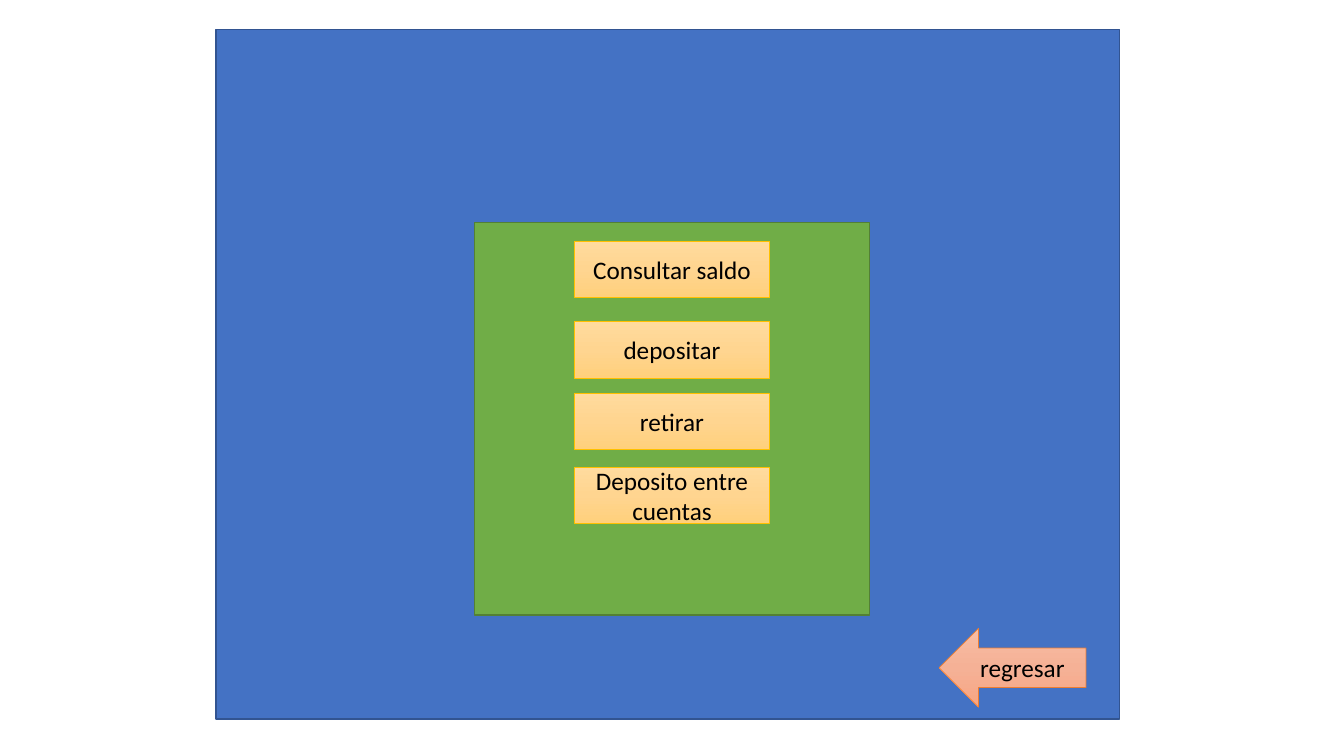
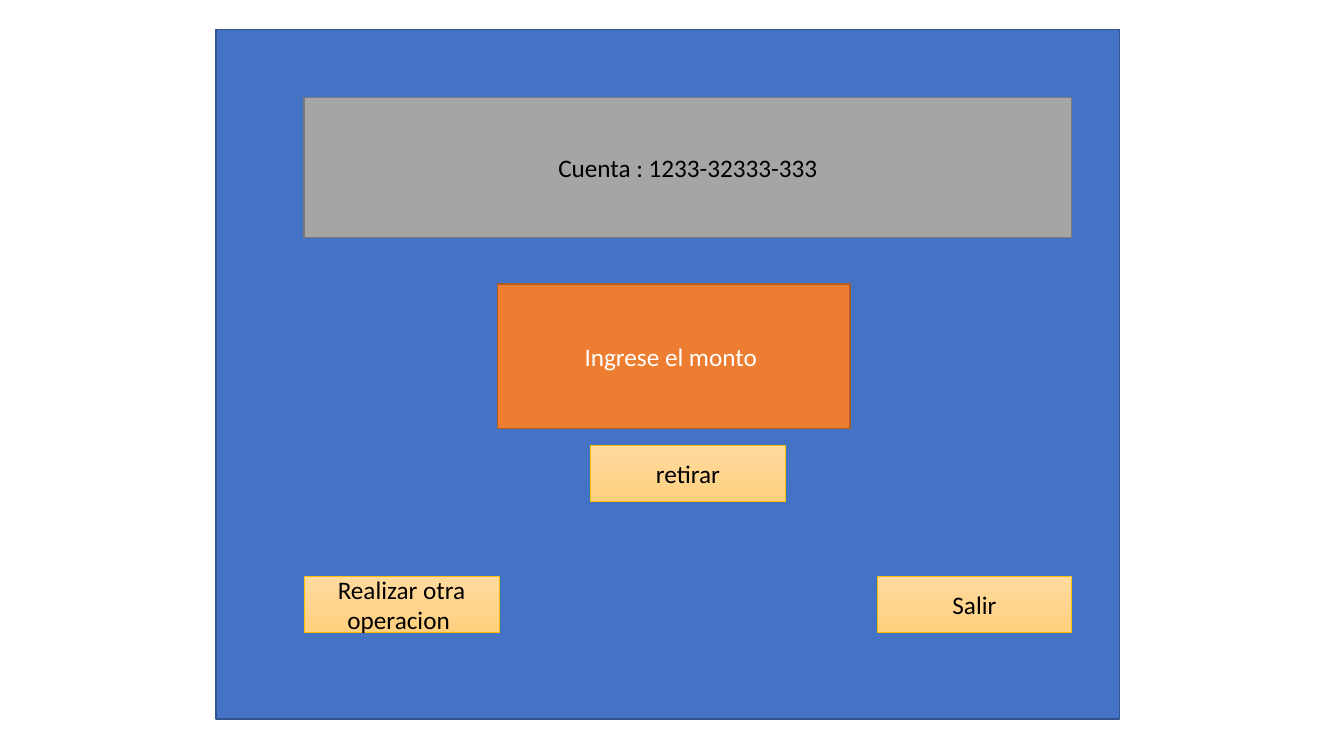
from copy import deepcopy
from dataclasses import dataclass

from pptx import Presentation
from pptx.dml.color import RGBColor
from pptx.enum.shapes import MSO_SHAPE
from pptx.enum.text import MSO_ANCHOR, PP_ALIGN
from pptx.oxml.ns import qn
from pptx.shapes.autoshape import Shape
from pptx.slide import Slide
from pptx.util import Inches, Pt

RECTANGLE = MSO_SHAPE.RECTANGLE
LEFT_ARROW = MSO_SHAPE.LEFT_ARROW
CENTER = PP_ALIGN.CENTER
MIDDLE = MSO_ANCHOR.MIDDLE

COLUMNS, ROWS = 16, 9
SLIDE_HEIGHT = Inches(7.5)
SLIDE_WIDTH = SLIDE_HEIGHT * COLUMNS // ROWS
BLANK_LAYOUT = 6
FONT = "Calibri"

COLORS = {
    "blue": "4472C4", "blue_edge": "325491",
    "green": "70AD47", "green_edge": "538035",
    "gray": "A5A5A5", "gray_edge": "7A7A7A",
    "orange": "ED7D31", "orange_edge": "AF5C24",
    "gold_light": "FFDB9E", "gold_mid": "FFD590", "gold_deep": "FFD07C",
    "gold_edge": "FFC000",
    "peach_light": "F7BDA5", "peach_mid": "F5B196", "peach_deep": "F8A582",
    "black": "000000", "white": "FFFFFF",
}


@dataclass(frozen=True)
class Area:
    """A place on the slide, in grid columns and rows."""
    column: float
    row: float
    columns: float
    rows: float

    @property
    def right(self) -> float:
        """Column where the area ends."""
        return self.column + self.columns

    def centered(self, columns: float) -> float:
        """Column that centers an item of the given width in the area."""
        return self.column + (self.columns - columns) / 2


@dataclass(frozen=True)
class Style:
    """Fill colors (several make a vertical gradient) and outline."""
    fill: tuple[str, ...]
    edge: str
    edge_width: float = 1


@dataclass(frozen=True)
class Button:
    """A button's label and its top left corner on the grid."""
    label: str
    column: float
    row: float


SCREEN_STYLE = Style(("blue",), "blue_edge")
MENU_STYLE = Style(("green",), "green_edge")
ACCOUNT_STYLE = Style(("gray",), "gray_edge")
AMOUNT_STYLE = Style(("orange",), "orange_edge")
BUTTON_STYLE = Style(("gold_light", "gold_mid", "gold_deep"), "gold_edge", 0.5)
BACK_STYLE = Style(("peach_light", "peach_mid", "peach_deep"), "orange", 0.5)

SCREEN = Area(2.57, 0.35, 10.76, 8.21)
MENU = Area(5.65, 2.65, 4.7, 4.67)
BACK = Area(11.18, 7.48, 1.75, 0.94)
ACCOUNT = Area(3.62, 1.16, 9.14, 1.67)
AMOUNT = Area(5.92, 3.38, 4.2, 1.72)
BUTTON_COLUMNS, BUTTON_ROWS = 2.32, 0.67

MENU_COLUMN = MENU.centered(BUTTON_COLUMNS)
MENU_BUTTONS = [
    Button("Consultar saldo", MENU_COLUMN, 2.87),
    Button("depositar", MENU_COLUMN, 3.83),
    Button("retirar", MENU_COLUMN, 4.68),
    Button("Deposito entre cuentas", MENU_COLUMN, 5.56),
]
EXIT_ROW = 6.86
WITHDRAWAL_BUTTONS = [
    Button("Realizar otra operacion ", ACCOUNT.column, EXIT_ROW),
    Button("Salir", ACCOUNT.right - BUTTON_COLUMNS, EXIT_ROW),
    Button("retirar", ACCOUNT.centered(BUTTON_COLUMNS), 5.3),
]


def rgb(name: str) -> RGBColor:
    """Look up a named color."""
    return RGBColor.from_string(COLORS[name])


def across(columns: float) -> int:
    """Convert grid columns to a length."""
    return round(SLIDE_WIDTH * columns / COLUMNS)


def down(rows: float) -> int:
    """Convert grid rows to a length."""
    return round(SLIDE_HEIGHT * rows / ROWS)


def paint(shape: Shape, style: Style) -> None:
    """Apply fill and outline to a shape."""
    fill = shape.fill
    if len(style.fill) == 1:
        fill.solid()
        fill.fore_color.rgb = rgb(style.fill[0])
    else:
        fill.gradient()
        fill.gradient_angle = 270
        stop_list = shape.element.find(".//" + qn("a:gsLst"))
        while len(stop_list) < len(style.fill):
            stop_list.insert(1, deepcopy(stop_list[0]))
        for index, (stop, name) in enumerate(zip(fill.gradient_stops, style.fill)):
            stop.color.rgb = rgb(name)
            stop.position = index / (len(style.fill) - 1)
    shape.line.color.rgb = rgb(style.edge)
    shape.line.width = Pt(style.edge_width)
    shape.shadow.inherit = False


def write(shape: Shape, text: str, *, color: str = "black", size: float = 18) -> None:
    """Write centered text in a shape."""
    frame = shape.text_frame
    frame.word_wrap = True
    frame.vertical_anchor = MIDDLE
    paragraph = frame.paragraphs[0]
    paragraph.alignment = CENTER
    run = paragraph.add_run()
    run.text = text
    run.font.name = FONT
    run.font.size = Pt(size)
    run.font.color.rgb = rgb(color)


def add_block(slide: Slide, area: Area, style: Style, text: str = "", *,
              outline: MSO_SHAPE = RECTANGLE, color: str = "black") -> None:
    """Draw a styled shape with an optional label."""
    block = slide.shapes.add_shape(
        outline, across(area.column), down(area.row),
        across(area.columns), down(area.rows))
    paint(block, style)
    if text:
        write(block, text, color=color)


def add_buttons(slide: Slide, buttons: list[Button]) -> None:
    """Draw gold buttons of one size."""
    for button in buttons:
        area = Area(button.column, button.row, BUTTON_COLUMNS, BUTTON_ROWS)
        add_block(slide, area, BUTTON_STYLE, button.label)


def add_screen(deck: Presentation) -> Slide:
    """Add a blank slide with the blue cash machine screen."""
    slide = deck.slides.add_slide(deck.slide_layouts[BLANK_LAYOUT])
    add_block(slide, SCREEN, SCREEN_STYLE)
    return slide


def build_menu(deck: Presentation) -> None:
    """Build the menu of operations."""
    slide = add_screen(deck)
    add_block(slide, MENU, MENU_STYLE)
    add_buttons(slide, MENU_BUTTONS)
    add_block(slide, BACK, BACK_STYLE, "regresar", outline=LEFT_ARROW)


def build_withdrawal(deck: Presentation) -> None:
    """Build the withdrawal screen."""
    slide = add_screen(deck)
    add_block(slide, ACCOUNT, ACCOUNT_STYLE, "Cuenta : 1233-32333-333")
    add_block(slide, AMOUNT, AMOUNT_STYLE, "Ingrese el monto ", color="white")
    add_buttons(slide, WITHDRAWAL_BUTTONS)


presentation = Presentation()
presentation.slide_width = SLIDE_WIDTH
presentation.slide_height = SLIDE_HEIGHT
build_menu(presentation)
build_withdrawal(presentation)
presentation.save("out.pptx")
